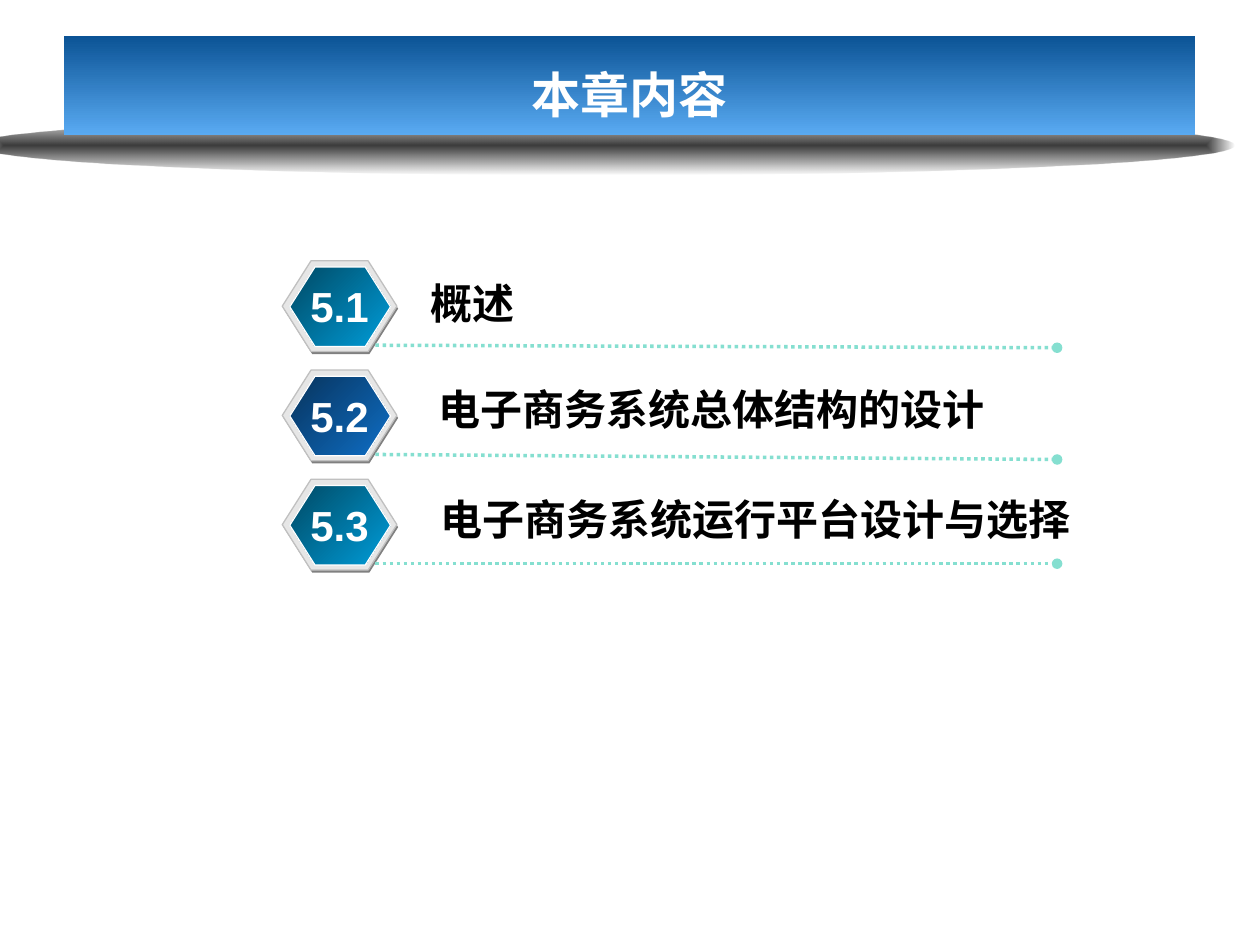
from dataclasses import dataclass
from typing import NamedTuple

from lxml.etree import SubElement
from pptx import Presentation
from pptx.dml.color import RGBColor
from pptx.enum.dml import MSO_LINE
from pptx.enum.shapes import MSO_CONNECTOR, MSO_SHAPE
from pptx.enum.text import MSO_ANCHOR, MSO_AUTO_SIZE, PP_ALIGN
from pptx.oxml.ns import qn
from pptx.util import Inches, Pt


@dataclass(frozen=True)
class Theme:
    """Colours, fonts and type sizes of the slide."""
    white: str = "FFFFFF"
    black: str = "000000"
    rim: str = "E6E6E6"
    rim_edge: str = "C0C0C0"
    rim_shade: str = "808080"
    rule: str = "85DFD0"
    banner: tuple = ("0B5395", "59AAF2")
    teal: tuple = ("004964", "009DD9")
    navy: tuple = ("07335C", "0F6FC6")
    title_font: str = "TeX Gyre Pagella"
    font: str = "Arial"
    title_size: float = 28
    size: float = 24
    edge_width: float = 0.75
    rule_width: float = 2


class Area(NamedTuple):
    """Left, top, width and height in grid cells."""
    left: float
    top: float
    width: float
    height: float

    def down(self, rows: float) -> "Area":
        """Return the area moved down by some rows."""
        return self._replace(top=self.top + rows)


class Section(NamedTuple):
    """One chapter section with its label place and rule slope."""
    number: str
    label: str
    colours: tuple
    label_area: Area
    rule_drop: float


THEME = Theme()
COLUMNS, ROWS = 100, 75
CELL = Inches(10) / COLUMNS
SECTION_ROWS = 8.67
BANNER = Area(5.1, 2.85, 89.75, 7.85)
BANNER_SHADOW = Area(-2, 9.15, 100, 4.7)
BADGE_SHADE = Area(22.5, 20.9, 9.1, 7.2)
BADGE_RIM = Area(22.4, 20.7, 9.1, 7.2)
BADGE_FACE = Area(23, 21.2, 8, 6.3)
BADGE_NUMBER = Area(23.6, 21.8, 6.7, 5)
RULE_LEFT, RULE_RIGHT, RULE_TOP = 29.8, 83.9, 27.4
SECTIONS = (
    Section("5.1", "概述", THEME.teal, Area(33.2, 21.5, 9, 5), 0.2),
    Section("5.2", "电子商务系统总体结构的设计", THEME.navy, Area(33.8, 21.3, 45.6, 5), 0.4),
    Section("5.3", "电子商务系统运行平台设计与选择", THEME.teal, Area(34, 21.3, 52.3, 5), 0),
)


def cells(count: float) -> int:
    """Turn grid cells into a length."""
    return round(count * CELL)


def colour(code: str) -> RGBColor:
    """Turn a hexadecimal code into a colour."""
    return RGBColor.from_string(code)


def paint(shape, fill, angle: float = 0, edge: str | None = None) -> None:
    """Fill a shape with one colour or a gradient and set its edge."""
    if isinstance(fill, tuple):
        shape.fill.gradient()
        shape.fill.gradient_angle = angle
        for stop, code in zip(shape.fill.gradient_stops, fill):
            stop.color.rgb = colour(code)
    else:
        shape.fill.solid()
        shape.fill.fore_color.rgb = colour(fill)
    if edge:
        shape.line.color.rgb = colour(edge)
        shape.line.width = Pt(THEME.edge_width)
    else:
        shape.line.fill.background()


def add_shape(page, kind, area: Area, fill, **look):
    """Add a painted preset shape without a shadow."""
    shape = page.shapes.add_shape(kind, *map(cells, area))
    shape.shadow.inherit = False
    paint(shape, fill, **look)
    return shape


def write(box, text: str, *, size: float = THEME.size, font: str = THEME.font,
          code: str = THEME.black, align=PP_ALIGN.LEFT, spacing: float = 1.0) -> None:
    """Write one bold paragraph into a box."""
    para = box.text_frame.paragraphs[0]
    para.alignment = align
    para.line_spacing = spacing
    span = para.add_run()
    span.text = text
    span.font.size = Pt(size)
    span.font.name = font
    span.font.bold = True
    span.font.color.rgb = colour(code)


def add_text(page, area: Area, text: str, **style) -> None:
    """Add an unwrapped text box that grows with its text."""
    box = page.shapes.add_textbox(*map(cells, area))
    box.text_frame.word_wrap = False
    box.text_frame.auto_size = MSO_AUTO_SIZE.SHAPE_TO_FIT_TEXT
    write(box, text, **style)


def add_banner(page, text: str) -> None:
    """Draw the title banner over its soft shadow."""
    title = page.shapes.title
    title.left, title.top, title.width, title.height = map(cells, BANNER)
    paint(title, THEME.banner, angle=270)
    frame = title.text_frame
    frame.auto_size = MSO_AUTO_SIZE.NONE
    frame.vertical_anchor = MSO_ANCHOR.MIDDLE
    frame.margin_left = frame.margin_right = cells(3.1)
    frame.margin_top = frame.margin_bottom = cells(2)
    write(title, text, size=THEME.title_size, font=THEME.title_font,
          code=THEME.white, align=PP_ALIGN.CENTER, spacing=1.3)

    shadow = add_shape(page, MSO_SHAPE.OVAL, BANNER_SHADOW, (THEME.black, THEME.black))
    gradient = shadow.element.spPr.find(qn("a:gradFill"))
    for stop, opacity in zip(gradient.iter(qn("a:srgbClr")), (77000, 0)):
        SubElement(stop, qn("a:alpha"), val=str(opacity))
    gradient.remove(gradient.find(qn("a:lin")))
    centre = SubElement(gradient, qn("a:path"), path="rect")
    SubElement(centre, qn("a:fillToRect"), dict.fromkeys("ltrb", "50000"))
    title.element.addprevious(shadow.element)


def add_badge(page, section: Section, offset: float) -> None:
    """Draw the three hexagons of a section badge."""
    layers = (
        (BADGE_SHADE, THEME.rim_shade, None),
        (BADGE_RIM, THEME.rim, THEME.rim_edge),
        (BADGE_FACE, section.colours, THEME.white),
    )
    for area, fill, edge in layers:
        hexagon = add_shape(page, MSO_SHAPE.HEXAGON, area.down(offset), fill,
                            angle=315, edge=edge)
        hexagon.adjustments[0] = 0.317
        hexagon.adjustments[1] = 1.155


def add_rule(page, top: float, drop: float) -> None:
    """Draw a dotted rule that ends in a round dot."""
    ends = (RULE_LEFT, top, RULE_RIGHT, top + drop)
    rule = page.shapes.add_connector(MSO_CONNECTOR.STRAIGHT, *map(cells, ends))
    rule.line.color.rgb = colour(THEME.rule)
    rule.line.width = Pt(THEME.rule_width)
    rule.line.dash_style = MSO_LINE.ROUND_DOT
    SubElement(rule.element.spPr.find(qn("a:ln")), qn("a:tailEnd"), type="oval")
    SubElement(rule.element.spPr, qn("a:effectLst"))


def add_section(page, section: Section, offset: float) -> None:
    """Draw one section row."""
    add_badge(page, section, offset)
    add_rule(page, RULE_TOP + offset, section.rule_drop)
    add_text(page, section.label_area.down(offset), section.label)
    add_text(page, BADGE_NUMBER.down(offset), section.number,
             code=THEME.white, align=PP_ALIGN.CENTER)


def main() -> None:
    """Build and save the slide."""
    deck = Presentation()
    deck.slide_width, deck.slide_height = cells(COLUMNS), cells(ROWS)
    page = deck.slides.add_slide(deck.slide_layouts[5])
    add_banner(page, "本章内容")
    for index, section in enumerate(SECTIONS):
        add_section(page, section, index * SECTION_ROWS)
    deck.save("out.pptx")


if __name__ == "__main__":
    main()
